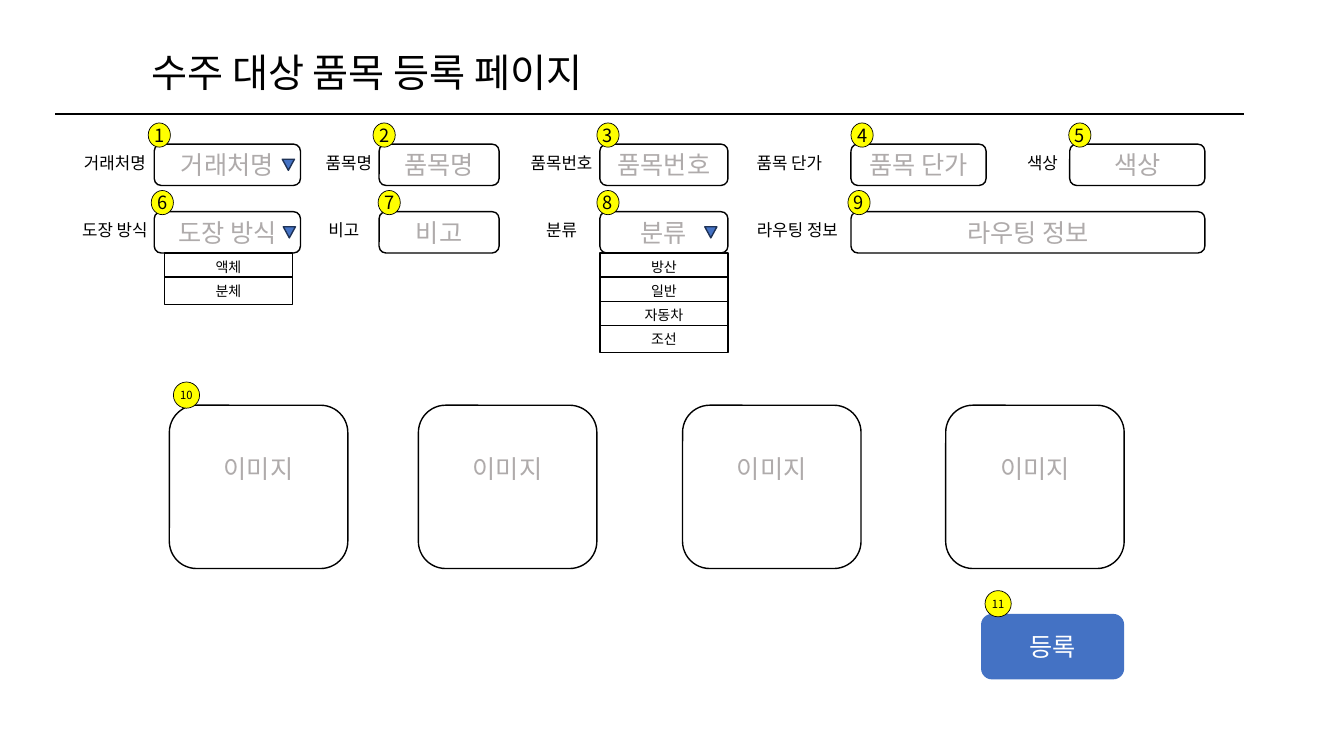
"""Build the wireframe slide of the order item registration page."""
from lxml.etree import SubElement
from pptx import Presentation
from pptx.dml.color import RGBColor
from pptx.enum.shapes import MSO_CONNECTOR as Line, MSO_SHAPE as Shape
from pptx.enum.text import MSO_ANCHOR as Anchor, MSO_AUTO_SIZE as Fit, PP_ALIGN as Align
from pptx.oxml.ns import qn
from pptx.util import Inches, Pt

FONT = "Noto Sans CJK KR"
BLACK, WHITE, GREY = "000000", "FFFFFF", "AFABAB"
BLUE, NAVY, YELLOW = "4472C4", "1E3256", "FFFF00"

TITLE = "수주 대상 품목 등록 페이지"
COLUMNS = [(1.53, 1.45), (3.76, 1.19), (5.95, 1.27), (8.44, 1.34), (10.61, 1.34)]
ROWS = [1.43, 2.1]
FIELD_HEIGHT = 0.41
LABEL_WIDTH = 1.27
OPTION_WIDTH, OPTION_HEIGHT, OPTION_PITCH = 1.27, 0.27, 0.24

# name, row, column, last column, label centre, badge shift
FIELDS = [
    ("거래처명", 0, 0, 0, 1.14, -0.06),
    ("품목명", 0, 1, 1, 3.46, -0.06),
    ("품목번호", 0, 2, 2, 5.57, -0.03),
    ("품목 단가", 0, 3, 3, 7.83, 0),
    ("색상", 0, 4, 4, 10.34, -0.01),
    ("도장 방식", 1, 0, 0, 1.14, -0.03),
    ("비고", 1, 1, 1, 3.41, -0.01),
    ("분류", 1, 2, 2, 5.57, -0.03),
    ("라우팅 정보", 1, 3, 4, 7.91, -0.03),
]
# arrow distance from the right edge, option indent, options
DROPDOWNS = {
    "거래처명": (0.18, 0, []),
    "도장 방식": (0.17, 0.1, ["액체", "분체"]),
    "분류": (0.23, 0, ["방산", "일반", "자동차", "조선"]),
}
IMAGE_LEFTS = [1.68, 4.15, 6.77, 9.38]
IMAGE_TOP, IMAGE_WIDTH, IMAGE_HEIGHT = 4.02, 1.77, 1.62
BUTTON = (9.73, 6.09, 1.42, 0.65)


def color(value):
    return RGBColor.from_string(value)


def write(box, text, size, ink, align=Align.CENTER, side=0, bottom=0.05, wrap=True):
    frame = box.text_frame
    settings = {
        "auto_size": Fit.NONE, "word_wrap": wrap, "vertical_anchor": Anchor.MIDDLE,
        "margin_left": Inches(side), "margin_right": Inches(side),
        "margin_top": Inches(0.05), "margin_bottom": Inches(bottom),
    }
    for name, value in settings.items():
        setattr(frame, name, value)
    para = frame.paragraphs[0]
    para.alignment = align
    span = para.add_run()
    span.text = text
    span.font.size = Pt(size)
    span.font.color.rgb = color(ink)
    span.font.name = FONT
    SubElement(span.font._element, qn("a:ea"), typeface=FONT)


def add_box(page, kind, place, fill=None, line=None, weight=1):
    box = page.shapes.add_shape(kind, *map(Inches, place))
    box.shadow.inherit = False
    if fill:
        box.fill.solid()
        box.fill.fore_color.rgb = color(fill)
    else:
        box.fill.background()
    if line:
        box.line.color.rgb = color(line)
        box.line.width = Pt(weight)
    else:
        box.line.fill.background()
    return box


def add_badge(page, number, left, top, width=0.22, height=0.24, size=13):
    place = (left, top, width, height)
    badge = add_box(page, Shape.FLOWCHART_CONNECTOR, place, YELLOW, BLACK, 0.5)
    write(badge, str(number), size, BLACK, wrap=False)


def add_field(page, number, name, row, first, last, label_center, badge_shift):
    left, top = COLUMNS[first][0], ROWS[row]
    right = sum(COLUMNS[last])
    field = add_box(page, Shape.ROUNDED_RECTANGLE,
                    (left, top, right - left, FIELD_HEIGHT), WHITE, BLACK)
    write(field, name, 18, GREY)
    label = add_box(page, Shape.ROUNDED_RECTANGLE,
                    (label_center - LABEL_WIDTH / 2, top - 0.02, LABEL_WIDTH, FIELD_HEIGHT))
    write(label, name, 12, BLACK)
    if name in DROPDOWNS:
        arrow_gap, indent, options = DROPDOWNS[name]
        add_box(page, Shape.FLOWCHART_MERGE,
                (right - arrow_gap, top + 0.15, 0.12, 0.11), BLUE, NAVY)
        for index, option in enumerate(options):
            option_top = top + FIELD_HEIGHT + index * OPTION_PITCH
            cell = add_box(page, Shape.RECTANGLE,
                           (left + indent, option_top, OPTION_WIDTH, OPTION_HEIGHT),
                           WHITE, BLACK)
            write(cell, option, 10, BLACK)
    add_badge(page, number, left + badge_shift, top - 0.21)


def add_heading(page):
    title = page.shapes.title
    title.left, title.top, title.width, title.height = map(Inches, (1.4, 0.43, 7.6, 0.57))
    write(title, TITLE, 28, BLACK, Align.LEFT, side=0.1)
    rule = page.shapes.add_connector(
        Line.STRAIGHT, *map(Inches, (0.55, 1.13, 12.34, 1.13)))
    rule.line.color.rgb = color(BLACK)
    rule.line.width = Pt(1.5)
    SubElement(rule._element.spPr, qn("a:effectLst"))


def main():
    deck = Presentation()
    deck.slide_width, deck.slide_height = Inches(13.33), Inches(7.5)
    page = deck.slides.add_slide(deck.slide_layouts[5])
    add_heading(page)
    for number, field in enumerate(FIELDS, 1):
        add_field(page, number, *field)
    for left in IMAGE_LEFTS:
        card = add_box(page, Shape.ROUNDED_RECTANGLE,
                       (left, IMAGE_TOP, IMAGE_WIDTH, IMAGE_HEIGHT), WHITE, BLACK)
        write(card, "이미지", 18, GREY, bottom=0.41)
    button = add_box(page, Shape.ROUNDED_RECTANGLE, BUTTON, BLUE)
    write(button, "등록", 18, WHITE)
    corners = [(IMAGE_LEFTS[0], IMAGE_TOP), BUTTON[:2]]
    for number, (left, top) in enumerate(corners, len(FIELDS) + 1):
        add_badge(page, number, left + 0.04, top - 0.23, 0.26, 0.26, 8)
    deck.save("out.pptx")


if __name__ == "__main__":
    main()
